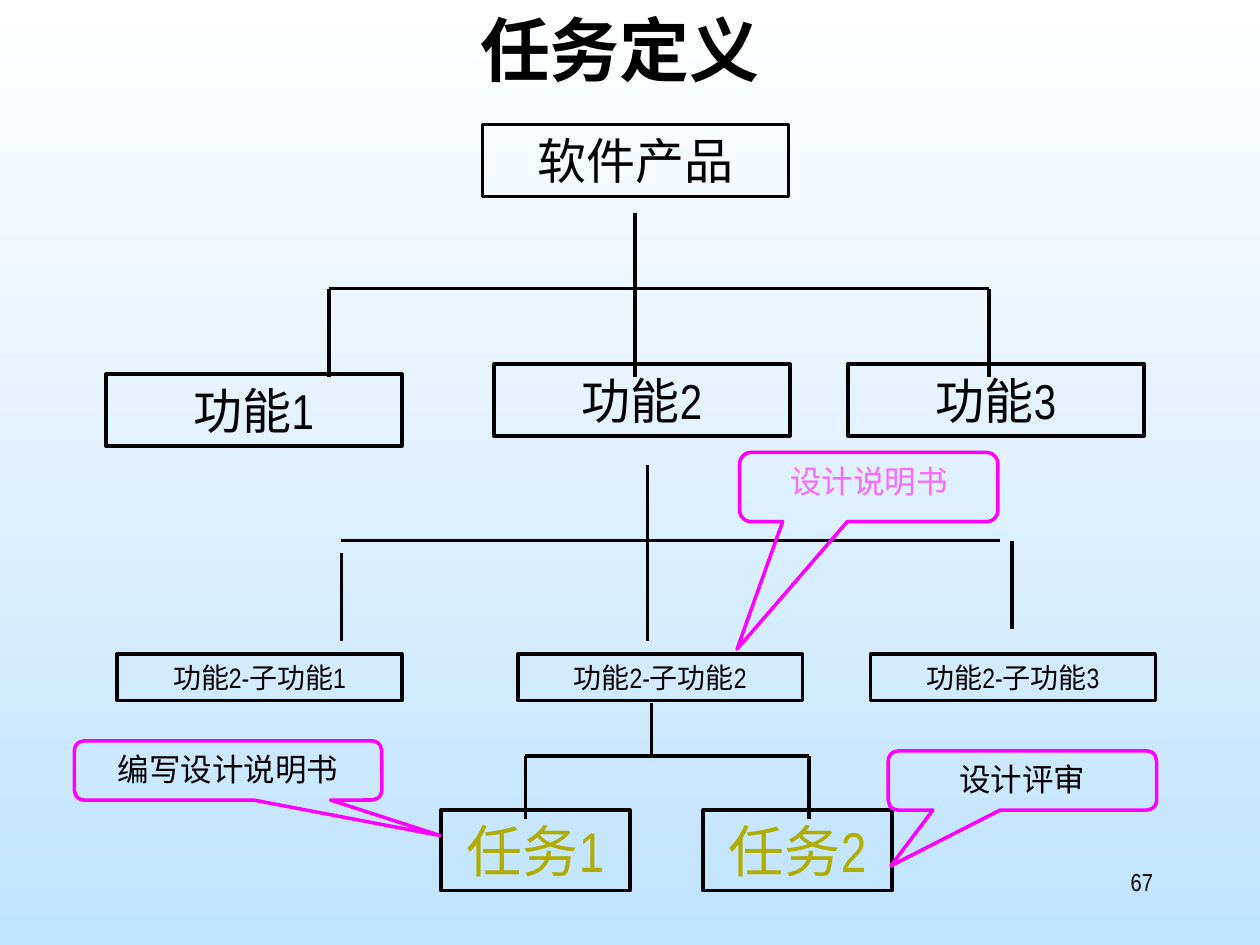
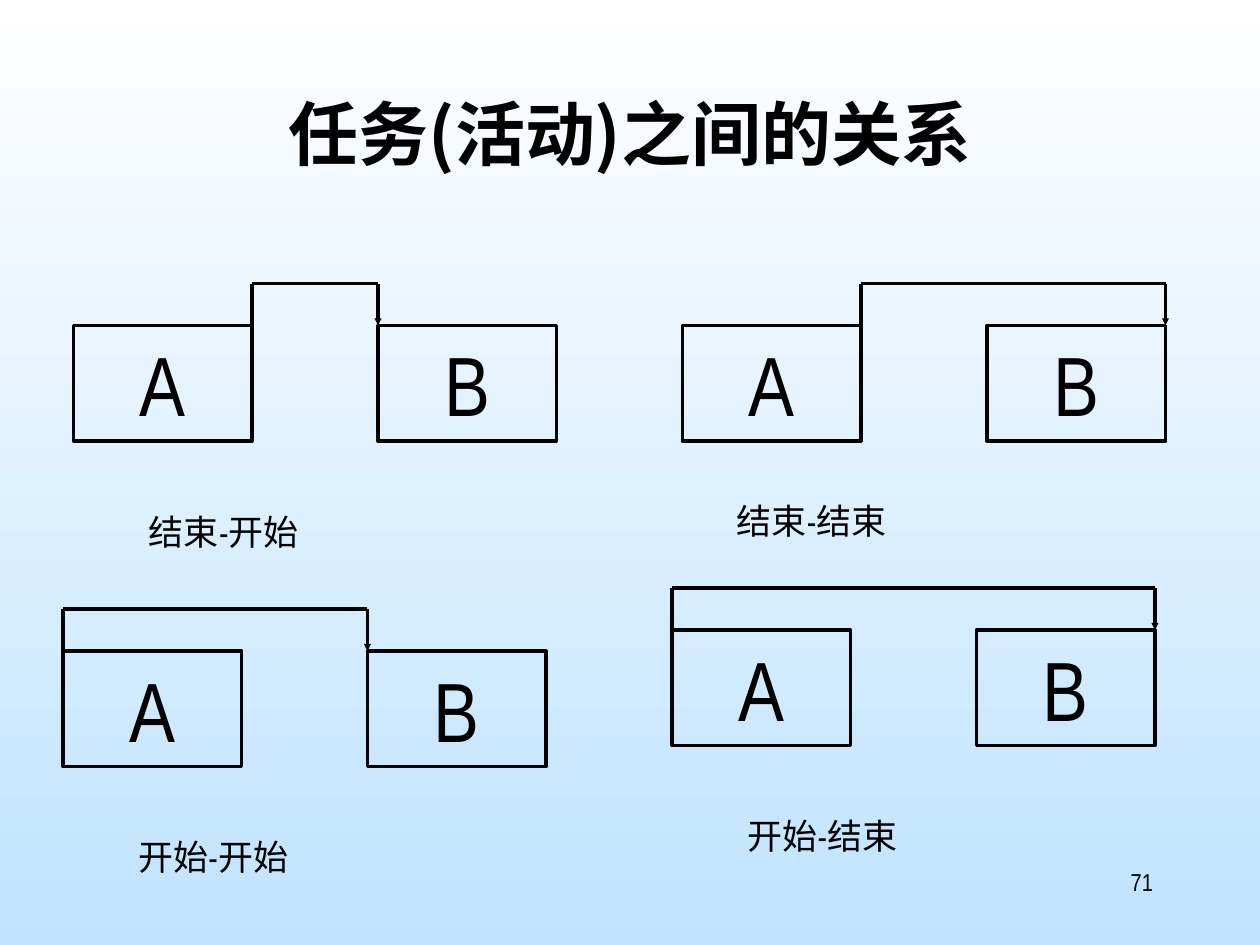
from lxml import etree
from pptx import Presentation
from pptx.dml.color import RGBColor
from pptx.enum.shapes import MSO_CONNECTOR, MSO_SHAPE
from pptx.enum.text import MSO_ANCHOR, PP_ALIGN
from pptx.oxml.ns import qn
from pptx.util import Inches, Pt

LEFT, CENTER, RIGHT = PP_ALIGN.LEFT, PP_ALIGN.CENTER, PP_ALIGN.RIGHT
TOP, MIDDLE = MSO_ANCHOR.TOP, MSO_ANCHOR.MIDDLE
RECTANGLE = MSO_SHAPE.RECTANGLE
CALLOUT = MSO_SHAPE.ROUNDED_RECTANGULAR_CALLOUT
STRAIGHT = MSO_CONNECTOR.STRAIGHT

COLORS = {"ink": "000000", "task": "B0AC00", "callout": "FF00FF", "pink": "FF66FF",
          "sky_top": "FFFFFF", "sky_bottom": "C0E3FE"}
LATIN, CHINESE = "Arial Narrow", "Noto Sans CJK SC"
SLIDE_WIDTH, SLIDE_HEIGHT = 10, 7.5
TITLE_SIZE = (8.5, 1.25)
NUMBER_PLACE = (7.17, 6.83, 2.08, 0.5)
LINE_WIDTH = 2

TREE_TITLE = ("任务定义", 0.67, 0, "67")
TREE_ROWS = [
    {"size": (2.43, 0.57), "font": 28, "color": "ink",
     "boxes": [("软件产品", 3.83, 0.99)]},
    {"size": (2.35, 0.57), "font": 28, "color": "ink",
     "boxes": [("功能1", 0.84, 2.97), ("功能2", 3.92, 2.89), ("功能3", 6.73, 2.89)]},
    {"size": (2.26, 0.37), "font": 16, "color": "ink",
     "boxes": [("功能2-子功能1", 0.93, 5.19), ("功能2-子功能2", 4.11, 5.19),
               ("功能2-子功能3", 6.91, 5.19)]},
    {"size": (1.5, 0.64), "font": 32, "color": "task",
     "boxes": [("任务1", 3.5, 6.43), ("任务2", 5.58, 6.43)]},
]
FORKS = [
    {"bar": (2.61, 7.85, 2.29),
     "drops": [(2.61, 2.29, 2.99), (5.04, 1.69, 2.99), (7.85, 2.29, 2.99)]},
    {"bar": (2.71, 7.94, 4.29),
     "drops": [(2.71, 4.39, 5.09), (5.14, 3.69, 5.09), (8.03, 4.29, 4.99)]},
    {"bar": (4.17, 6.42, 6),
     "drops": [(4.17, 6, 6.5), (5.17, 5.58, 6), (6.42, 6, 6.5)]},
]
CALLOUTS = [
    ("设计说明书", (5.87, 3.59, 2.05, 0.55), (-0.51, 2.34), "pink"),
    ("编写设计说明书", (0.59, 5.88, 2.44, 0.47), (0.69, 1.1), "ink"),
    ("设计评审", (7.05, 5.96, 2.13, 0.47), (-0.49, 1.44), "ink"),
]

RELATION_TITLE = ("任务(活动)之间的关系", 0.75, 0.67, "71")
CELLS_PER_INCH = 12
BOX_COLUMNS, BOX_ROWS = 17, 11
SECOND_BOX_SHIFT = 29
LINK_RISE = 4
CAPTION_SIZE = (35, 5.25)
RELATIONS = [
    {"caption": "结束-开始", "origin": (7, 31), "caption_at": (13, 48), "ends": ("end", "start")},
    {"caption": "结束-结束", "origin": (65, 31), "caption_at": (69, 47), "ends": ("end", "end")},
    {"caption": "开始-开始", "origin": (6, 62), "caption_at": (12, 79), "ends": ("start", "start")},
    {"caption": "开始-结束", "origin": (64, 60), "caption_at": (70, 77), "ends": ("start", "end")},
]
EDGE_SHIFT = {"start": 0, "end": BOX_COLUMNS}


def color(name):
    return RGBColor.from_string(COLORS[name])


def cells(*counts):
    return [count / CELLS_PER_INCH for count in counts]


def write(shape, text, size=18, ink="ink", align=CENTER, anchor=TOP, bold=False,
          latin=LATIN, wrap=True):
    frame = shape.text_frame
    frame.word_wrap = wrap
    frame.vertical_anchor = anchor
    para = frame.paragraphs[0]
    para.alignment = align
    span = para.add_run()
    span.text = text
    span.font.size = Pt(size)
    span.font.bold = bold
    span.font.name = latin
    span.font.color.rgb = color(ink)
    etree.SubElement(span.font._element, qn("a:ea")).set("typeface", CHINESE)


def add_label(page, text, place, **style):
    write(page.shapes.add_textbox(*map(Inches, place)), text, **style)


def add_box(page, text, place, kind=RECTANGLE, outline="ink", **style):
    box = page.shapes.add_shape(kind, *map(Inches, place))
    box.shadow.inherit = False
    box.fill.background()
    box.line.color.rgb = color(outline)
    box.line.width = Pt(LINE_WIDTH)
    write(box, text, **style)
    return box


def add_line(page, start, end, arrow=False):
    line = page.shapes.add_connector(STRAIGHT, *map(Inches, (*start, *end)))
    line.line.color.rgb = color("ink")
    line.line.width = Pt(LINE_WIDTH)
    if arrow:
        head = etree.SubElement(line.line._get_or_add_ln(), qn("a:headEnd"))
        for key, value in (("type", "triangle"), ("w", "sm"), ("len", "sm")):
            head.set(key, value)
    etree.SubElement(line._element.spPr, qn("a:effectLst"))


def add_page(deck, title, left, top, number):
    page = deck.slides.add_slide(deck.slide_layouts[6])
    fill = page.background.fill
    fill.gradient()
    fill.gradient_angle = 270
    for stop, position, name in zip(fill.gradient_stops, (0, 1), ("sky_top", "sky_bottom")):
        stop.position = position
        stop.color.rgb = color(name)
    add_label(page, title, (left, top, *TITLE_SIZE), size=40, bold=True, latin=CHINESE)
    add_label(page, number, NUMBER_PLACE, size=14, align=RIGHT)
    return page


def build_task_tree(deck):
    page = add_page(deck, *TREE_TITLE)
    for row in TREE_ROWS:
        for text, left, top in row["boxes"]:
            add_box(page, text, (left, top, *row["size"]), size=row["font"], ink=row["color"])
    for fork in FORKS:
        left, right, level = fork["bar"]
        add_line(page, (left, level), (right, level))
        for across, top, bottom in fork["drops"]:
            add_line(page, (across, top), (across, bottom))
    for text, place, tip, ink in CALLOUTS:
        callout = add_box(page, text, place, kind=CALLOUT, outline="callout", ink=ink)
        for index, share in enumerate(tip):
            callout.adjustments[index] = share


def build_relations(deck):
    page = add_page(deck, *RELATION_TITLE)
    for relation in RELATIONS:
        column, row = relation["origin"]
        corners = []
        for name, shift, end in zip("AB", (0, SECOND_BOX_SHIFT), relation["ends"]):
            place = cells(column + shift, row, BOX_COLUMNS, BOX_ROWS)
            add_box(page, name, place, size=48, anchor=MIDDLE, wrap=False)
            corner = column + shift + EDGE_SHIFT[end]
            corners.append(cells(corner, row - LINK_RISE))
            add_line(page, cells(corner, row), corners[-1], arrow=name == "B")
        add_line(page, *corners)
        add_label(page, relation["caption"], cells(*relation["caption_at"], *CAPTION_SIZE),
                  size=20, align=LEFT)


def main():
    deck = Presentation()
    deck.slide_width, deck.slide_height = Inches(SLIDE_WIDTH), Inches(SLIDE_HEIGHT)
    build_task_tree(deck)
    build_relations(deck)
    deck.save("out.pptx")


if __name__ == "__main__":
    main()
